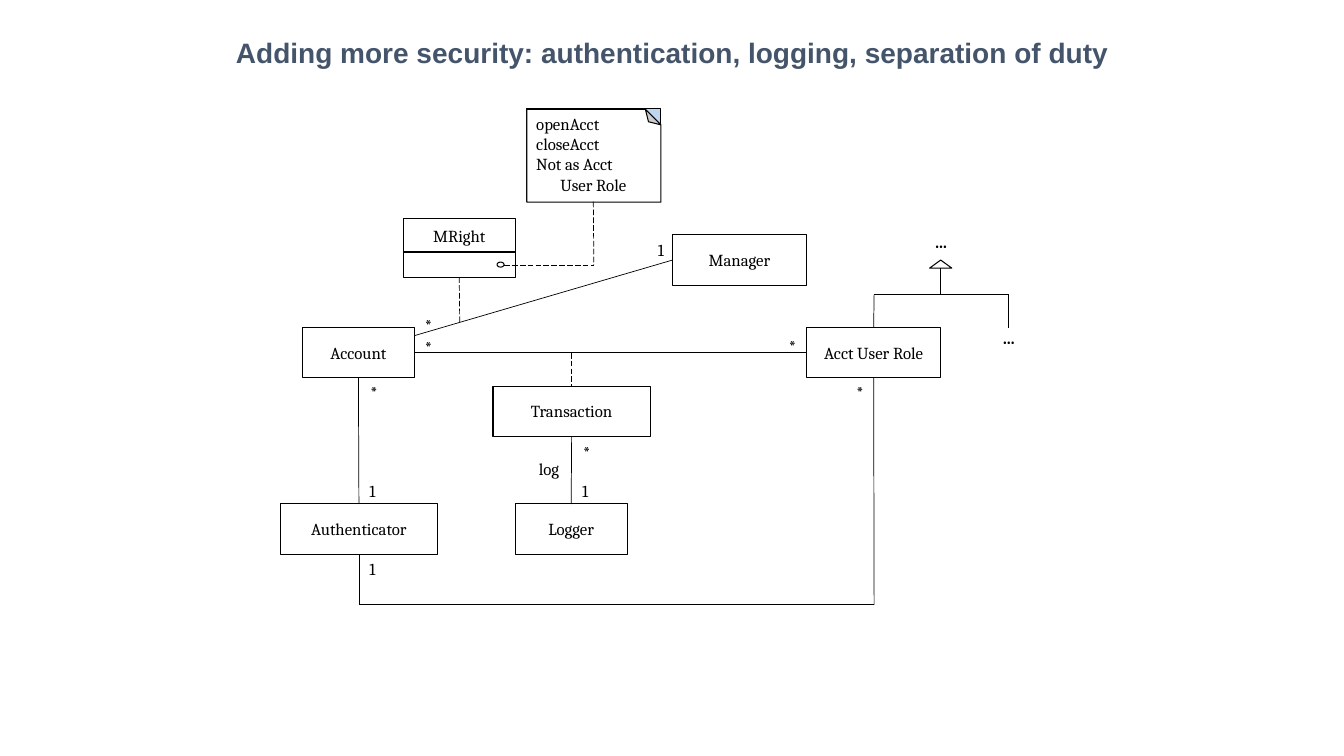
from dataclasses import dataclass

from lxml.etree import SubElement
from pptx import Presentation
from pptx.dml.color import RGBColor
from pptx.enum.dml import MSO_LINE
from pptx.enum.shapes import MSO_CONNECTOR, MSO_SHAPE
from pptx.enum.text import MSO_ANCHOR, PP_ALIGN
from pptx.oxml.ns import qn
from pptx.util import Inches, Pt


@dataclass(frozen=True)
class Theme:
    ink: RGBColor = RGBColor(0x00, 0x00, 0x00)
    paper: RGBColor = RGBColor(0xFF, 0xFF, 0xFF)
    fold: RGBColor = RGBColor(0xBD, 0xD7, 0xEE)
    heading: RGBColor = RGBColor(0x44, 0x54, 0x6A)
    heading_font: str = "Arial"
    diagram_font: str = "Cambria"
    heading_size: Pt = Pt(20)
    diagram_size: Pt = Pt(12)
    outline: Pt = Pt(0.75)
    link: Pt = Pt(0.5)


theme = Theme()
presentation = Presentation()
presentation.slide_width = Inches(13.33)
presentation.slide_height = Inches(7.5)
slide = presentation.slides.add_slide(presentation.slide_layouts[6])


def add_outlined(kind, left, top, width, height, fill=theme.paper):
    shape = slide.shapes.add_shape(kind, Inches(left), Inches(top), Inches(width), Inches(height))
    shape.shadow.inherit = False
    shape.fill.solid()
    shape.fill.fore_color.rgb = fill
    shape.line.color.rgb = theme.ink
    shape.line.width = theme.outline
    return shape


def write_line(paragraph, text, alignment=PP_ALIGN.CENTER, bold=False,
               font=theme.diagram_font, size=theme.diagram_size, color=theme.ink):
    paragraph.alignment = alignment
    run = paragraph.add_run()
    run.text = text
    run.font.name = font
    run.font.size = size
    run.font.bold = bold
    run.font.color.rgb = color


title = slide.shapes.add_textbox(Inches(0.67), Inches(0.3), Inches(12), Inches(0.78))
title.text_frame.word_wrap = True
write_line(title.text_frame.paragraphs[0],
           "Adding more security: authentication, logging, separation of duty",
           bold=True, font=theme.heading_font, size=theme.heading_size, color=theme.heading)

class_boxes = [
    ("Account", 3, 3.25, 1.11, 0.5),
    ("Authenticator", 2.78, 5, 1.56, 0.5),
    ("Logger", 5.11, 5, 1.11, 0.5),
    ("Transaction", 4.89, 3.83, 1.56, 0.5),
    ("Acct User Role", 8, 3.25, 1.33, 0.5),
    ("Manager", 6.67, 2.33, 1.33, 0.5),
    ("MRight", 4, 2.17, 1.11, 0.33),
]
boxes = {}
for name, left, top, width, height in class_boxes:
    box = add_outlined(MSO_SHAPE.RECTANGLE, left, top, width, height)
    box.text_frame.vertical_anchor = MSO_ANCHOR.MIDDLE
    write_line(box.text_frame.paragraphs[0], name)
    boxes[name] = box
boxes["rights"] = add_outlined(MSO_SHAPE.RECTANGLE, 4, 2.5, 1.11, 0.25)

boxes["note"] = add_outlined(MSO_SHAPE.RECTANGLE, 5.22, 1.08, 1.33, 0.92, theme.fold)
folded_note = add_outlined(MSO_SHAPE.FOLDED_CORNER, 5.43, 0.88, 0.92, 1.33)
folded_note.rotation = 270
note_text = slide.shapes.add_textbox(Inches(5.22), Inches(1.08), Inches(1.33), Inches(0.91))
note_text.text_frame.word_wrap = True
note_lines = [
    ("openAcct", PP_ALIGN.LEFT),
    ("closeAcct", PP_ALIGN.LEFT),
    ("Not as Acct", PP_ALIGN.LEFT),
    ("User Role", PP_ALIGN.CENTER),
]
for index, (text, alignment) in enumerate(note_lines):
    frame = note_text.text_frame
    paragraph = frame.add_paragraph() if index else frame.paragraphs[0]
    write_line(paragraph, text, alignment)

TOP, LEFT, BOTTOM, RIGHT = range(4)
links = [
    (("Transaction", BOTTOM), ("Logger", TOP), False),
    (("Account", BOTTOM), ("Authenticator", TOP), False),
    (("Account", RIGHT), ("Acct User Role", LEFT), False),
    (("Authenticator", BOTTOM), (3.56, 6), False),
    ((3.56, 6), (8.67, 6), False),
    (("Acct User Role", BOTTOM), (8.67, 6), False),
    ((4.11, 3.33), ("Manager", LEFT), False),
    ((8.67, 2.92), ("Acct User Role", TOP), False),
    ((10, 2.92), (10, 3.25), False),
    ((8.67, 2.92), (10, 2.92), False),
    ((9.33, 2.58), (9.33, 2.92), False),
    ((5.67, 3.5), ("Transaction", TOP), True),
    (("rights", BOTTOM), (4.56, 3.21), True),
    (("note", BOTTOM), (5.89, 2.63), True),
    ((5, 2.63), (5.89, 2.63), True),
]
for start, end, dashed in links:
    connector = slide.shapes.add_connector(MSO_CONNECTOR.STRAIGHT, 0, 0, 0, 0)
    if start[0] in boxes:
        connector.begin_connect(boxes[start[0]], start[1])
    else:
        connector.begin_x, connector.begin_y = Inches(start[0]), Inches(start[1])
    if end[0] in boxes:
        connector.end_connect(boxes[end[0]], end[1])
    else:
        connector.end_x, connector.end_y = Inches(end[0]), Inches(end[1])
    connector.line.color.rgb = theme.ink
    connector.line.width = theme.link
    if dashed:
        connector.line.dash_style = MSO_LINE.LONG_DASH
    SubElement(connector._element.spPr, qn("a:effectLst"))

add_outlined(MSO_SHAPE.ISOSCELES_TRIANGLE, 9.22, 2.58, 0.22, 0.08)
add_outlined(MSO_SHAPE.OVAL, 4.93, 2.6, 0.07, 0.05)

label_groups = [
    ("…", 0.67, True, [(9, 2.25), (9.67, 3.2)]),
    ("1", 0.67, False, [(5.47, 4.72), (6.22, 2.33), (3.36, 4.72), (3.36, 5.49)]),
    ("log", 0.67, False, [(5.11, 4.5)]),
    ("*", 0.56, False, [(5.54, 4.33), (3.43, 3.74), (3.97, 3.29),
                        (3.97, 3.07), (7.58, 3.28), (8.25, 3.74)]),
]
for text, width, bold, places in label_groups:
    for left, top in places:
        label = slide.shapes.add_textbox(Inches(left), Inches(top), Inches(width), Inches(0.3))
        label.text_frame.word_wrap = True
        write_line(label.text_frame.paragraphs[0], text, bold=bold)

presentation.save("out.pptx")
